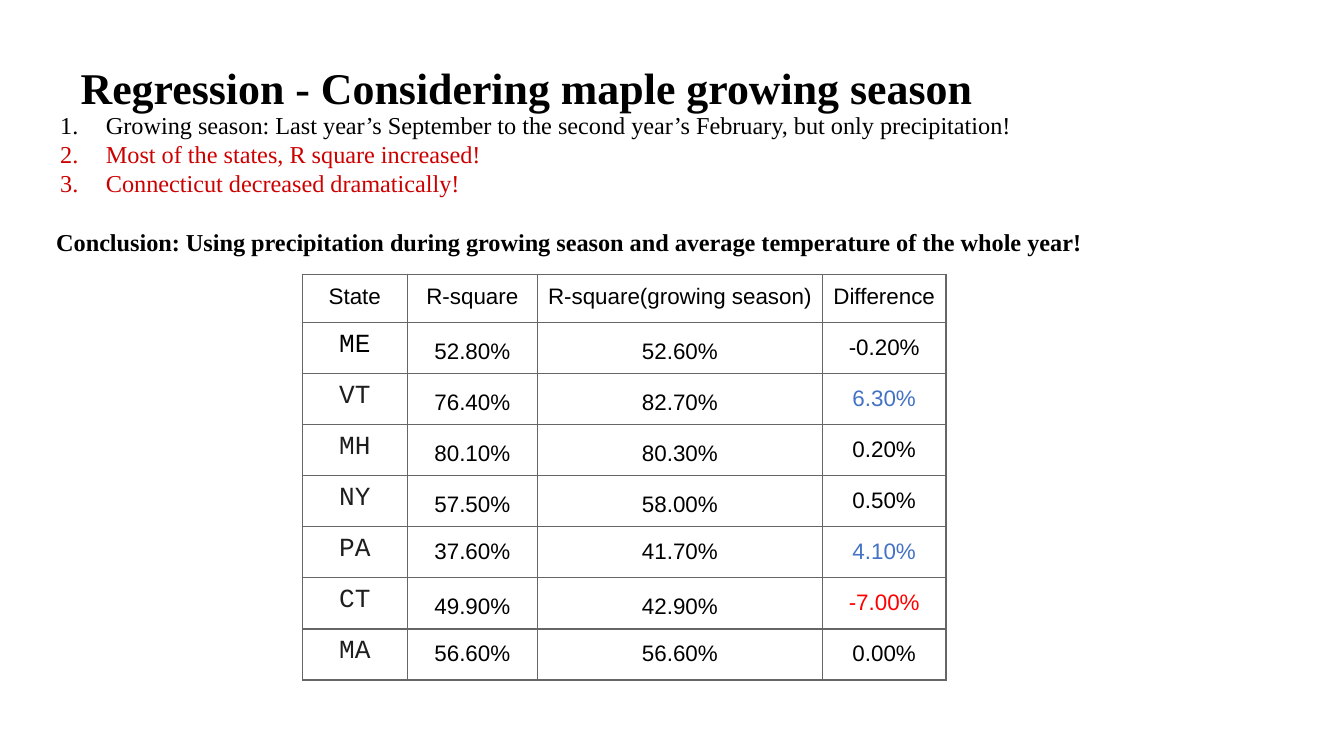
from typing import NamedTuple

from lxml.etree import SubElement
from pptx import Presentation
from pptx.dml.color import RGBColor
from pptx.enum.text import MSO_ANCHOR as Anchor, MSO_AUTO_SIZE as Fit, PP_ALIGN as Align
from pptx.oxml.ns import qn
from pptx.util import Inches, Pt

BLACK = RGBColor(0x00, 0x00, 0x00)
WHITE = RGBColor(0xFF, 0xFF, 0xFF)
INK = RGBColor(0x1E, 0x1E, 0x1E)
GREY = RGBColor(0x66, 0x66, 0x66)
BLUE = RGBColor(0x44, 0x72, 0xC4)
RED = RGBColor(0xFF, 0x00, 0x00)
DARK_RED = RGBColor(0xCC, 0x00, 0x00)
SERIF, SANS, MONO = "Times New Roman", "Arial", "Courier New"


class Point(NamedTuple):
    text: str
    color: RGBColor


class Row(NamedTuple):
    state: str
    base: str
    season: str
    diff: str
    ink: RGBColor = INK
    tint: RGBColor = BLACK
    low: float = 0.07  # bottom margin of the two R-square cells


POINTS = [
    Point("Growing season: Last year’s September to the second year’s February, "
          "but only precipitation!", BLACK),
    Point("Most of the states, R square increased!", DARK_RED),
    Point("Connecticut decreased dramatically!", DARK_RED),
]
CLOSING = ("Conclusion: Using precipitation during growing season and "
           "average temperature of the whole year!")
HEADS = ["State", "R-square", "R-square(growing season)", "Difference"]
ROWS = [
    Row("ME", "52.80%", "52.60%", "-0.20%", ink=BLACK),
    Row("VT", "76.40%", "82.70%", "6.30%", tint=BLUE),
    Row("MH", "80.10%", "80.30%", "0.20%"),
    Row("NY", "57.50%", "58.00%", "0.50%"),
    Row("PA", "37.60%", "41.70%", "4.10%", tint=BLUE, low=0.1),
    Row("CT", "49.90%", "42.90%", "-7.00%", tint=RED),
    Row("MA", "56.60%", "56.60%", "0.00%", low=0.1),
]
WIDTHS = [0.78, 0.97, 2.12, 0.92]
HEAD_H, ROW_H = 0.36, 0.38


def style(para, size: float, name: str, color: RGBColor, bold: bool = False) -> None:
    font = para.font
    font.size, font.name, font.bold = Pt(size), name, bold
    font.color.rgb = color


def pad(frame) -> None:
    frame.margin_left = frame.margin_right = Inches(0.1)
    frame.margin_top = frame.margin_bottom = Inches(0.1)
    frame.word_wrap = True


def number(para, color: RGBColor) -> None:
    """Turn a paragraph into an item of a numbered list."""
    props = para._p.get_or_add_pPr()
    props.set("marL", str(Inches(0.5)))
    props.set("indent", str(Inches(-0.34)))
    tint = SubElement(props, qn("a:buClr"))
    SubElement(tint, qn("a:srgbClr"), val=str(color))
    SubElement(props, qn("a:buAutoNum"), type="arabicPeriod")


def border(cell) -> None:
    props = cell._tc.get_or_add_tcPr()
    for side in ("lnL", "lnR", "lnT", "lnB"):
        line = SubElement(props, qn(f"a:{side}"), w=str(Pt(0.75)))
        fill = SubElement(line, qn("a:solidFill"))
        SubElement(fill, qn("a:srgbClr"), val=str(GREY))


def write(cell, text: str, color: RGBColor = BLACK, size: float = 12,
          name: str = SANS, low: float = 0.1) -> None:
    border(cell)
    cell.fill.background()
    cell.vertical_anchor = Anchor.BOTTOM
    cell.margin_left = cell.margin_right = cell.margin_top = Inches(0.01)
    cell.margin_bottom = Inches(low)
    para = cell.text_frame.paragraphs[0]
    para.text = text
    para.alignment = Align.CENTER
    para.line_spacing = 1.15
    style(para, size, name, color)


def add_title(slide) -> None:
    title = slide.shapes.title
    title.left, title.top = Inches(0.5), Inches(0.21)
    title.width, title.height = Inches(9), Inches(0.63)
    frame = title.text_frame
    pad(frame)
    frame.auto_size = Fit.NONE
    frame.vertical_anchor = Anchor.TOP
    para = frame.paragraphs[0]
    para.text = "Regression - Considering maple growing season"
    para.alignment = Align.LEFT
    para.line_spacing = 1.36
    style(para, 23.5, SERIF, BLACK, True)


def add_notes(slide) -> None:
    """Add the numbered findings and the conclusion under them."""
    box = slide.shapes.add_textbox(Inches(0.19), Inches(0.72), Inches(8.07), Inches(1.52))
    frame = box.text_frame
    pad(frame)
    for i, point in enumerate(POINTS):
        para = frame.add_paragraph() if i else frame.paragraphs[0]
        para.text = point.text
        number(para, point.color)
        style(para, 13, SERIF, point.color)
    last = frame.add_paragraph()
    last.text = CLOSING
    last.space_before = Pt(16)
    last._p.get_or_add_pPr().set("marL", str(Inches(0.13)))
    style(last, 13, SERIF, BLACK, True)


def add_grid(slide) -> None:
    high = HEAD_H + ROW_H * len(ROWS)
    grid = slide.shapes.add_table(len(ROWS) + 1, len(HEADS), Inches(2.25), Inches(2.04),
                                  Inches(sum(WIDTHS)), Inches(high)).table
    grid.first_row = grid.horz_banding = False
    for col, width in zip(grid.columns, WIDTHS):
        col.width = Inches(width)
    for i, line in enumerate(grid.rows):
        line.height = Inches(ROW_H if i else HEAD_H)
    for j, head in enumerate(HEADS):
        write(grid.cell(0, j), head)
    for i, row in enumerate(ROWS, 1):
        write(grid.cell(i, 0), row.state, row.ink, 14, MONO)
        write(grid.cell(i, 1), row.base, low=row.low)
        write(grid.cell(i, 2), row.season, low=row.low)
        write(grid.cell(i, 3), row.diff, row.tint)


def main() -> None:
    deck = Presentation()
    deck.slide_width = Inches(10)
    deck.slide_height = deck.slide_width * 9 // 16
    slide = deck.slides.add_slide(deck.slide_layouts[5])
    slide.background.fill.solid()
    slide.background.fill.fore_color.rgb = WHITE
    add_title(slide)
    add_notes(slide)
    add_grid(slide)
    deck.save("out.pptx")


if __name__ == "__main__":
    main()
